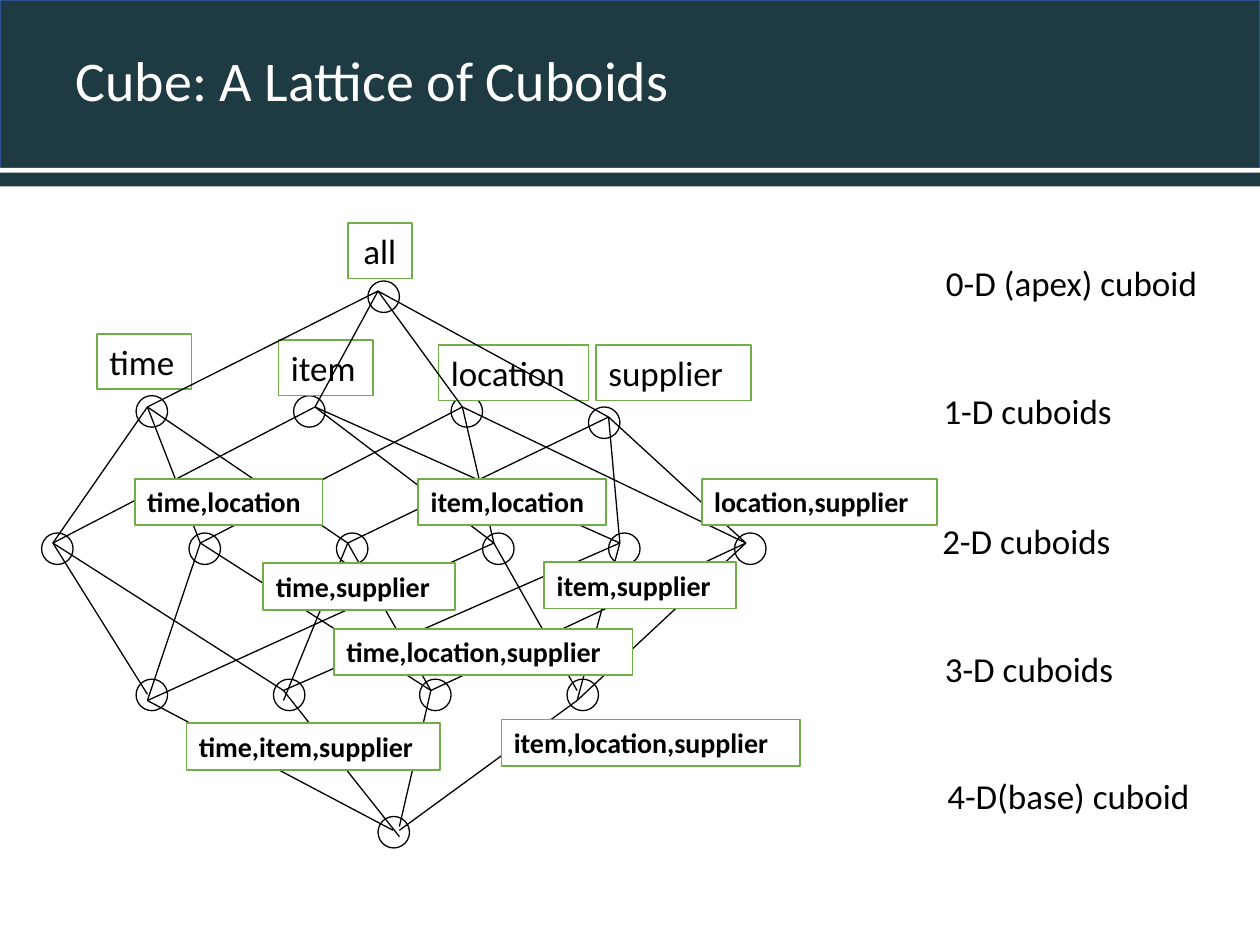
"""Build a slide showing the lattice of cuboids over four dimensions."""
from dataclasses import dataclass
from itertools import product

from lxml.etree import SubElement
from pptx import Presentation
from pptx.dml.color import RGBColor
from pptx.enum.shapes import MSO_CONNECTOR, MSO_SHAPE
from pptx.enum.text import MSO_ANCHOR, PP_ALIGN
from pptx.oxml.ns import qn
from pptx.shapes.autoshape import Shape
from pptx.slide import Slide
from pptx.util import Inches, Pt

FONT = "Calibri"
BLACK, WHITE, TEAL, NAVY, GREEN = "000000", "FFFFFF", "1E3A42", "325491", "70AD47"
CIRCLE = 0.25


@dataclass(frozen=True)
class Cuboid:
    """A lattice node: its dimension initials, circle corner and line joint."""
    dims: str
    left: float
    top: float
    joint_x: float
    joint_y: float


@dataclass(frozen=True)
class Label:
    """A text with its place and size in inches."""
    text: str
    left: float
    top: float
    width: float
    height: float = 0.44
    align: PP_ALIGN = PP_ALIGN.LEFT


LEVELS = [
    [Cuboid("", 2.92, 2.23, 3, 2.31)],
    [
        Cuboid("t", 1.08, 3.14, 1.17, 3.23),
        Cuboid("i", 2.33, 3.14, 2.5, 3.23),
        Cuboid("l", 3.58, 3.14, 3.67, 3.23),
        Cuboid("s", 4.67, 3.23, 4.83, 3.31),
    ],
    [
        Cuboid(dims, left, 4.23, left + 0.09, 4.31)
        for dims, left in zip(
            ("ti", "tl", "ts", "il", "is", "ls"), (0.33, 1.5, 2.67, 3.83, 4.83, 5.83)
        )
    ],
    [
        Cuboid("til", 1.08, 5.39, 1.17, 5.56),
        Cuboid("tis", 2.17, 5.39, 2.25, 5.48),
        Cuboid("tls", 3.33, 5.39, 3.42, 5.48),
        Cuboid("ils", 4.5, 5.39, 4.58, 5.56),
    ],
    [Cuboid("tils", 3, 6.48, 3.17, 6.59)],
]

LINE_ENDS = {
    ("ti", "til"): (1.17, 5.51),
    ("ts", "tis"): (2.25, 5.56),
    ("il", "ils"): (4.58, 5.48),
    ("til", "tils"): (3.12, 6.59),
    ("tis", "tils"): (3.17, 6.64),
    ("tls", "tils"): (3.17, 6.56),
}

DIMENSION_LABELS = [
    Label("all", 2.76, 1.77, 0.51, align=PP_ALIGN.CENTER),
    Label("time", 0.77, 2.65, 0.75),
    Label("item", 2.21, 2.7, 0.75),
    Label("location", 3.48, 2.74, 1.19),
    Label("supplier", 4.73, 2.74, 1.23),
]

COMBINATION_LABELS = [
    Label("time,location", 1.07, 3.8, 1.49, 0.37),
    Label("time,supplier", 2.09, 4.47, 1.52, 0.37),
    Label("item,location", 3.32, 3.8, 1.49, 0.37),
    Label("item,supplier", 4.32, 4.46, 1.52, 0.37),
    Label("location,supplier", 5.57, 3.8, 1.87, 0.37),
    Label("time,item,supplier", 1.48, 5.74, 2.01, 0.37),
    Label("time,location,supplier", 2.65, 4.99, 2.37, 0.37),
    Label("item,location,supplier", 3.98, 5.71, 2.37, 0.37),
]

LEVEL_LABELS = [
    Label("0-D (apex) cuboid", 7.41, 2.03, 2.44),
    Label("1-D cuboids", 7.39, 3.04, 1.66),
    Label("2-D cuboids", 7.38, 4.07, 1.71),
    Label("3-D cuboids", 7.4, 5.09, 1.71),
    Label("4-D(base) cuboid", 7.42, 6.1, 2.37),
]


def color(value: str) -> RGBColor:
    """Turn a hex string into a colour."""
    return RGBColor.from_string(value)


def add_figure(
    page: Slide, kind: MSO_SHAPE, left: float, top: float, width: float, height: float,
    fill: str = WHITE, line: str | None = BLACK, weight: float = 0.75,
) -> Shape:
    """Draw a flat preset shape."""
    figure = page.shapes.add_shape(
        kind, Inches(left), Inches(top), Inches(width), Inches(height)
    )
    figure.shadow.inherit = False
    figure.fill.solid()
    figure.fill.fore_color.rgb = color(fill)
    if line is None:
        figure.line.fill.background()
    else:
        figure.line.color.rgb = color(line)
        figure.line.width = Pt(weight)
    return figure


def write(
    box: Shape, text: str, size: float, font_color: str = BLACK, bold: bool = False,
    align: PP_ALIGN = PP_ALIGN.LEFT, anchor: MSO_ANCHOR = MSO_ANCHOR.TOP,
) -> None:
    """Put one formatted paragraph into a box."""
    frame = box.text_frame
    frame.text = text
    frame.word_wrap = True
    frame.vertical_anchor = anchor
    para = frame.paragraphs[0]
    para.alignment = align
    span = para.runs[0]
    span.font.name = FONT
    span.font.size = Pt(size)
    span.font.bold = bold
    span.font.color.rgb = color(font_color)


def add_text_box(page: Slide, label: Label) -> Shape:
    """Add an empty text box at the place of a label."""
    return page.shapes.add_textbox(
        Inches(label.left), Inches(label.top), Inches(label.width), Inches(label.height)
    )


def add_framed_label(page: Slide, label: Label, size: float, bold: bool = False) -> None:
    """Draw a green-framed label."""
    box = add_figure(
        page, MSO_SHAPE.RECTANGLE, label.left, label.top, label.width, label.height,
        line=GREEN, weight=1,
    )
    write(box, label.text, size, bold=bold, align=label.align)


def add_edge(page: Slide, parent: Cuboid, child: Cuboid) -> None:
    """Join a cuboid to one with an extra dimension."""
    end_x, end_y = LINE_ENDS.get((parent.dims, child.dims), (child.joint_x, child.joint_y))
    edge = page.shapes.add_connector(
        MSO_CONNECTOR.STRAIGHT, Inches(parent.joint_x), Inches(parent.joint_y),
        Inches(end_x), Inches(end_y),
    )
    edge.line.color.rgb = color(BLACK)
    edge.line.width = Pt(0.75)
    SubElement(edge._element.spPr, qn("a:effectLst"))


def add_header(page: Slide) -> None:
    """Draw the title band, its stripe and the title."""
    add_figure(page, MSO_SHAPE.RECTANGLE, 0, 0, 10, 1.33, TEAL, NAVY, 1)
    add_figure(page, MSO_SHAPE.RECTANGLE, 0, 1.37, 10, 0.11, TEAL, None)
    title = Label("Cube: A Lattice of Cuboids", 0.1, 0, 9.9, 1.33)
    box = add_text_box(page, title)
    write(box, title.text, 32, WHITE, anchor=MSO_ANCHOR.MIDDLE)
    box.text_frame.margin_left = Inches(0.5)
    box.text_frame.paragraphs[0].line_spacing = 0.9


def main() -> None:
    """Build and save the deck."""
    deck = Presentation()
    deck.slide_width, deck.slide_height = Inches(10), Inches(7.5)
    page = deck.slides.add_slide(deck.slide_layouts[6])
    add_header(page)
    for level in LEVELS:
        for cuboid in level:
            add_figure(
                page, MSO_SHAPE.FLOWCHART_CONNECTOR, cuboid.left, cuboid.top, CIRCLE, CIRCLE
            )
    for label in DIMENSION_LABELS:
        add_framed_label(page, label, 20)
    for upper, lower in zip(LEVELS, LEVELS[1:]):
        for parent, child in product(upper, lower):
            if set(parent.dims) <= set(child.dims):
                add_edge(page, parent, child)
    for label in COMBINATION_LABELS:
        add_framed_label(page, label, 16, bold=True)
    for label in LEVEL_LABELS:
        write(add_text_box(page, label), label.text, 20)
    deck.save("out.pptx")


if __name__ == "__main__":
    main()
